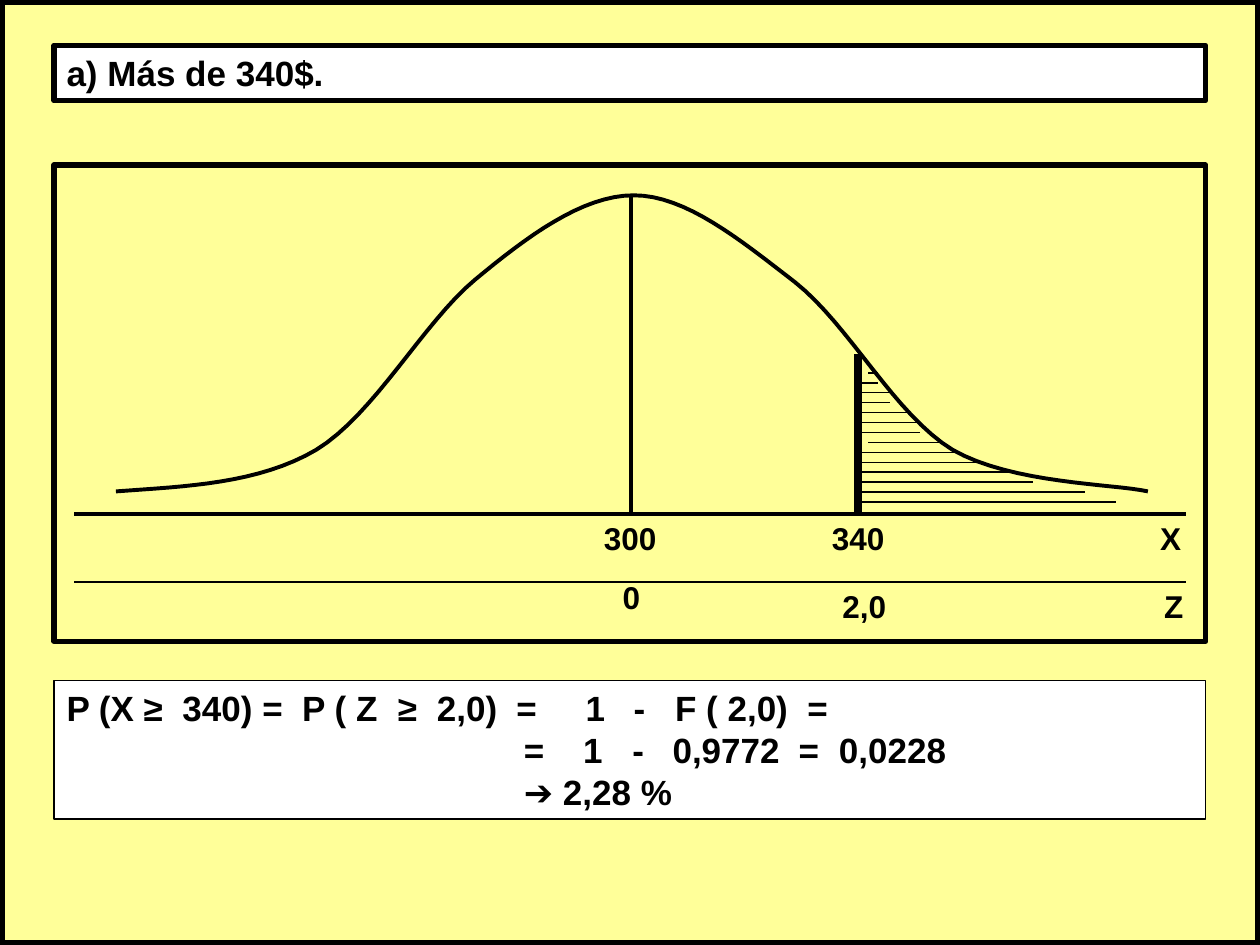
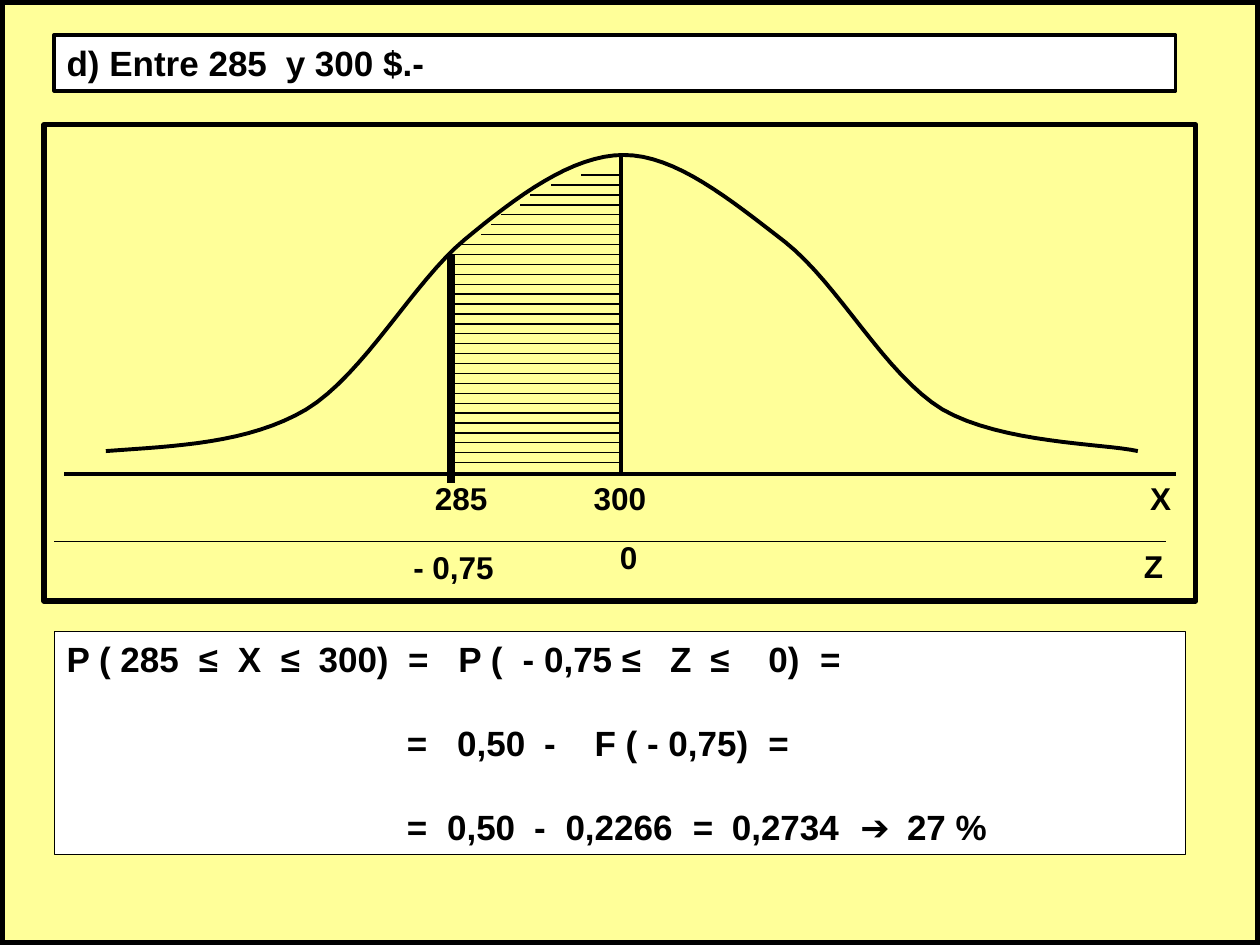
import pptx
import pptx.dml.color
import pptx.enum.shapes
import pptx.enum.text
import pptx.util
import pptx.oxml.ns
import lxml.etree

Inches, Pt = pptx.util.Inches, pptx.util.Pt
RGB = pptx.dml.color.RGBColor.from_string


class Theme:
    font = "Arial"
    ink, paper, page = "000000", "FFFFFF", "FFFF99"
    body, label = 20, 18
    thin, curve, frame, bar, edge = 0.75, 2.25, 3, 4.5, 6


# Text lines are lists of (tab position, text). Chart lengths start at the frame corner.
SLIDES = [
    {
        "title": ((0.43, 0.36, 9.14, 0.44), 3, [(0, "a) Más de 340$.")]),
        "frame": (0.43, 1.31),
        "bar": (6.38, 1.5, 2.75),
        "hatch": {
            "base": 6.38, "top": 1.65, "side": 1, "inset": {0: 0.08, 7: 0.08},
            "sizes": [0.16, 0.16, 0.25, 0.25, 0.41, 0.49, 0.49, 0.65,
                      0.82, 0.98, 1.23, 1.39, 1.8, 2.05],
        },
        "zline": 0.16,
        "labels": [("300", 4.57, 2.76), ("340", 6.38, 2.76), ("X", 8.85, 2.76),
                   ("0", 4.58, 3.23), ("2,0", 6.43, 3.3), ("Z", 8.88, 3.3)],
        "answer": ((0.43, 5.4, 9.14, 1.1), 0, [
            [(0, "P (X ≥"), (0.92, "340) ="), (1.87, "P ( Z"), (2.63, "≥"),
             (2.94, "2,0)"), (3.57, "="), (4.12, "1"), (4.5, "-"),
             (4.83, "F ( 2,0)"), (5.88, "=")],
            [(3.63, "="), (4.1, "1"), (4.49, "-"), (4.81, "0,9772"),
             (5.81, "="), (6.13, "0,0228")],
            [(3.63, "➔ 2,28 %")],
        ]),
    },
    {
        "title": ((0.43, 0.28, 8.9, 0.44), 2.25,
                  [(0, "d) Entre 285"), (1.74, "y 300 $.-")]),
        "frame": (0.35, 0.99),
        "bar": (3.23, 1.03, 2.84),
        "hatch": {
            "base": 4.57, "top": 0.4, "side": -1, "inset": {},
            "sizes": [0.31, 0.55, 0.71, 0.79, 0.94, 1.02, 1.1, 1.26] + [1.34] * 23,
        },
        "zline": 0.08,
        "labels": [("285", 3.31, 2.76), ("300", 4.57, 2.76), ("X", 8.85, 2.76),
                   ("- 0,75", 3.25, 3.31), ("0", 4.64, 3.23), ("Z", 8.8, 3.3)],
        "answer": ((0.43, 5.01, 8.98, 1.77), 24, [
            [(0, "P ( 285"), (1.05, "≤"), (1.36, "X"), (1.7, "≤"), (2, "300)"),
             (2.71, "="), (3.11, "P ("), (3.62, "- 0,75 ≤"), (4.79, "Z"),
             (5.11, "≤"), (5.57, "0)"), (5.98, "=")],
            [(2.7, "="), (3.1, "0,50"), (3.79, "-"), (4.19, "F ( - 0,75)"),
             (5.57, "=")],
            [(2.7, "="), (3.02, "0,50"), (3.71, "-"), (3.96, "0,2266"),
             (4.97, "="), (5.28, "0,2734"), (6.3, "➔"), (6.67, "27 %")],
        ]),
    },
]

FRAME = (9.14, 3.78)
PEAK, CREST, BASE = 4.58, 0.24, 2.77
AXIS, ZROW = 8.82, 3.31
STEP = 0.08 - 0.0013
BELL = [
    (0.49, 2.59), (1.05, 2.55), (1.62, 2.53), (2.08, 2.26),
    (2.54, 1.98), (2.93, 1.25), (3.34, 0.91),
    (3.75, 0.57), (4.19, 0.24), (4.6, 0.24),
    (5.01, 0.24), (5.44, 0.59), (5.88, 0.93),
    (6.31, 1.27), (6.67, 1.98), (7.13, 2.26),
    (7.6, 2.53), (8.41, 2.53), (8.68, 2.59),
]


def trace(knots, steps=16):
    """Sample a chain of cubic Bezier segments."""
    dots = [knots[0]]
    for k in range(0, len(knots) - 1, 3):
        for n in range(1, steps + 1):
            t = n / steps
            mix = ((1 - t) ** 3, 3 * t * (1 - t) ** 2, 3 * t * t * (1 - t), t ** 3)
            dots.append(tuple(sum(m * p[a] for m, p in zip(mix, knots[k:k + 4]))
                              for a in (0, 1)))
    return dots


def style(shape, fill, width):
    shape.shadow.inherit = False
    if fill:
        shape.fill.solid()
        shape.fill.fore_color.rgb = RGB(fill)
    else:
        shape.fill.background()
    shape.line.color.rgb = RGB(Theme.ink)
    shape.line.width = Pt(width)


def rect(slide, area, fill, width):
    kind = pptx.enum.shapes.MSO_SHAPE.RECTANGLE
    shape = slide.shapes.add_shape(kind, *map(Inches, area))
    style(shape, fill, width)
    return shape


def rule(slide, x1, y1, x2, y2, width):
    kind = pptx.enum.shapes.MSO_CONNECTOR.STRAIGHT
    line = slide.shapes.add_connector(kind, *map(Inches, (x1, y1, x2, y2)))
    line.line.color.rgb = RGB(Theme.ink)
    line.line.width = Pt(width)
    props = line._element.spPr
    lxml.etree.SubElement(props, pptx.oxml.ns.qn("a:effectLst"))


def ink(para, size):
    for run in para.runs:
        font = run.font
        font.name, font.size, font.bold = Theme.font, Pt(size), True
        font.color.rgb = RGB(Theme.ink)


def panel(slide, area, width, lines, gap=0):
    """Draw a white box whose lines are set out on tab stops."""
    frame = rect(slide, area, Theme.paper, width).text_frame
    frame.word_wrap = True
    frame.vertical_anchor = pptx.enum.text.MSO_ANCHOR.TOP
    for n, line in enumerate(lines):
        para = frame.paragraphs[0] if n == 0 else frame.add_paragraph()
        para.text = "".join(("\t" if at else "") + text for at, text in line)
        stops = [at for at, _ in line if at]
        if stops:
            qn = pptx.oxml.ns.qn
            tabs = lxml.etree.SubElement(para._p.get_or_add_pPr(), qn("a:tabLst"))
            for at in stops:
                lxml.etree.SubElement(tabs, qn("a:tab"), pos=str(Inches(at)), algn="l")
        para.alignment = pptx.enum.text.PP_ALIGN.LEFT
        if n and gap:
            para.space_before = Pt(gap)
        ink(para, Theme.body)


def label(slide, text, mid, top):
    wide = 0.2 + 0.14 * len(text)
    box = slide.shapes.add_textbox(*map(Inches, (mid - wide / 2, top, wide, 0.4)))
    box.text_frame.word_wrap = False
    para = box.text_frame.paragraphs[0]
    para.text = text
    para.alignment = pptx.enum.text.PP_ALIGN.CENTER
    ink(para, Theme.label)


def graph(slide, data):
    left, top = data["frame"]

    def draw(x1, y1, x2, y2, width):
        rule(slide, left + x1, top + y1, left + x2, top + y2, width)

    rect(slide, (left, top, *FRAME), None, Theme.frame)

    hatch = data["hatch"]
    for n, size in enumerate(hatch["sizes"]):
        y = hatch["top"] + n * STEP
        start = hatch["base"] + hatch["inset"].get(n, 0)
        draw(start, y, hatch["base"] + hatch["side"] * size, y, Theme.thin)

    x, high, low = data["bar"]
    draw(x, high, x, low, Theme.bar)

    dots = [(Inches(left + x), Inches(top + y)) for x, y in trace(BELL)]
    path = slide.shapes.build_freeform(*dots[0])
    path.add_line_segments(dots[1:], close=False)
    style(path.convert_to_shape(), None, Theme.curve)

    draw(PEAK, CREST, PEAK, BASE, Theme.curve)
    draw(0.16, BASE, 0.16 + AXIS, BASE, Theme.curve)
    draw(data["zline"], ZROW, data["zline"] + AXIS, ZROW, Theme.thin)
    for text, mid, y in data["labels"]:
        label(slide, text, left + mid, top + y)


def main():
    deck = pptx.Presentation()
    deck.slide_width, deck.slide_height = Inches(10), Inches(7.5)
    for data in SLIDES:
        slide = deck.slides.add_slide(deck.slide_layouts[6])
        rect(slide, (0, 0, 10, 7.5), Theme.page, Theme.edge)
        area, width, line = data["title"]
        panel(slide, area, width, [line])
        graph(slide, data)
        area, gap, lines = data["answer"]
        panel(slide, area, Theme.thin, lines, gap)
    deck.save("out.pptx")


if __name__ == "__main__":
    main()
